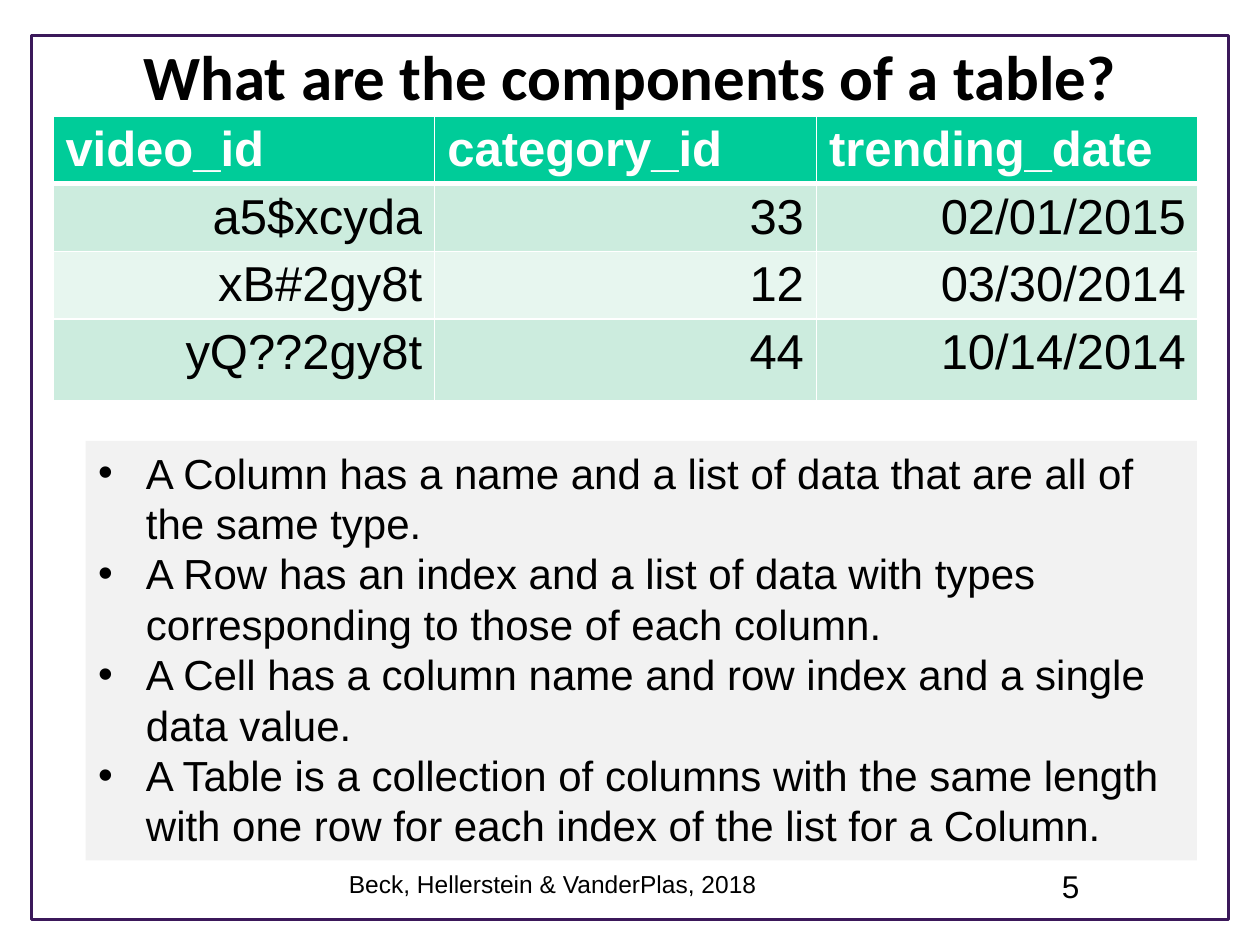
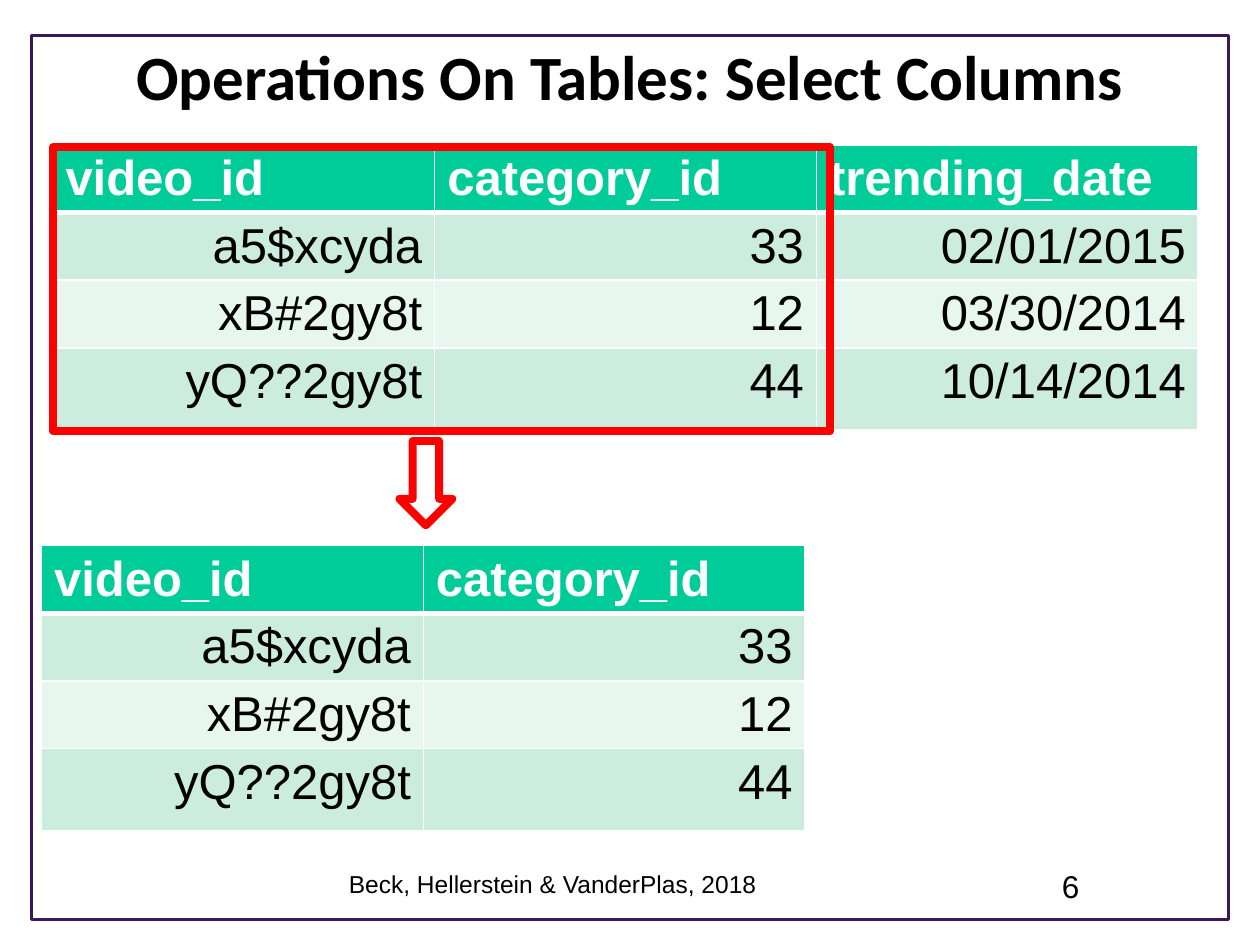
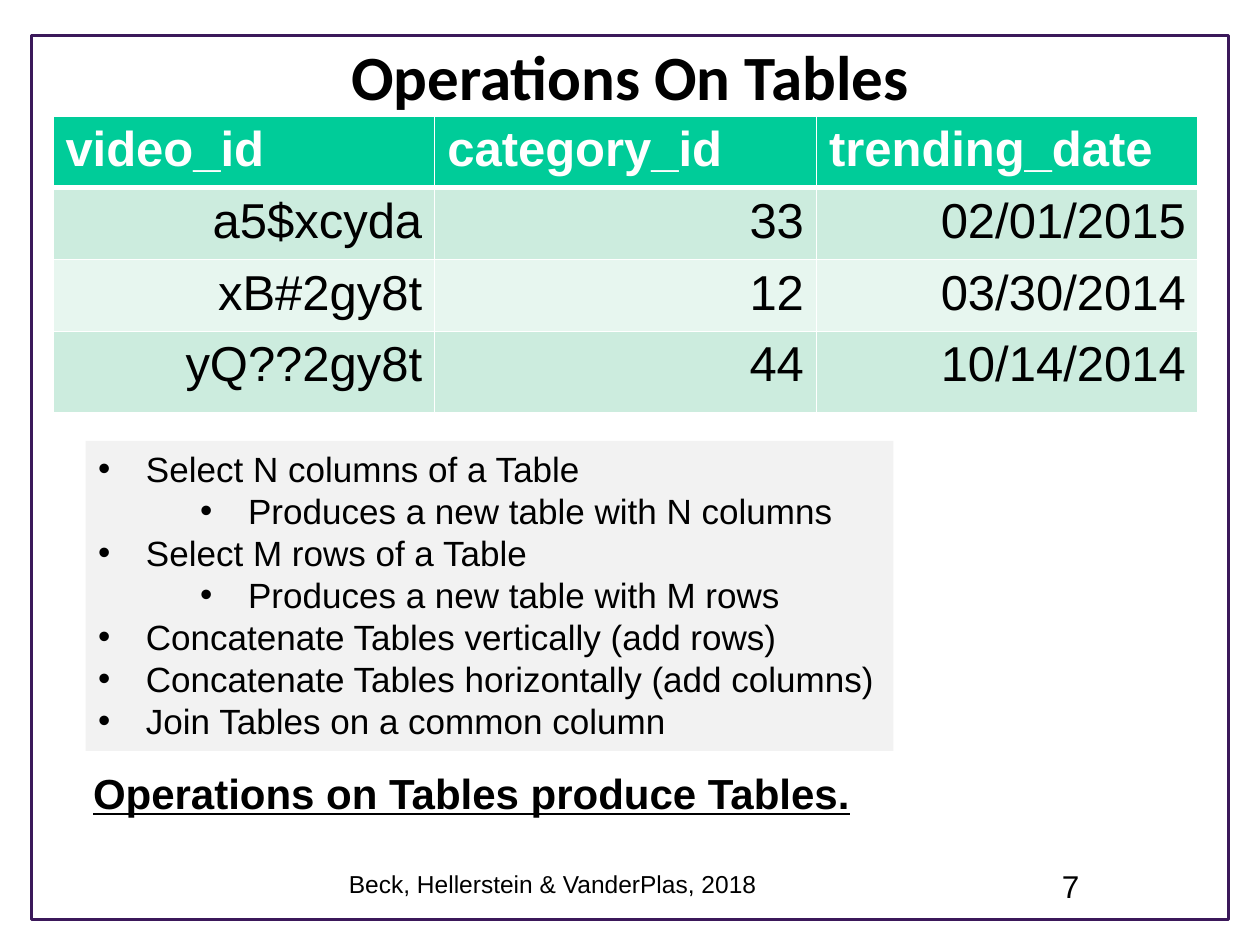
from dataclasses import dataclass

from lxml import etree
from pptx import Presentation
from pptx.dml.color import RGBColor
from pptx.enum.shapes import MSO_SHAPE
from pptx.enum.text import MSO_ANCHOR, PP_ALIGN
from pptx.oxml.ns import qn
from pptx.util import Inches, Pt

RECT = MSO_SHAPE.RECTANGLE
DOWN_ARROW = MSO_SHAPE.DOWN_ARROW
LEFT, CENTER, RIGHT = PP_ALIGN.LEFT, PP_ALIGN.CENTER, PP_ALIGN.RIGHT
TOP = MSO_ANCHOR.TOP

COLORS = {
    "text": "000000",
    "white": "FFFFFF",
    "frame": "3B185A",
    "header": "00CC99",
    "band_dark": "CCECDE",
    "band_light": "E7F6EF",
    "panel": "F2F2F2",
    "highlight": "FF0000",
}
FOOTER = "Beck, Hellerstein & VanderPlas, 2018"
VIDEOS = [
    ["video_id", "category_id", "trending_date"],
    ["a5$xcyda", "33", "02/01/2015"],
    ["xB#2gy8t", "12", "03/30/2014"],
    ["yQ??2gy8t", "44", "10/14/2014"],
]
COLUMN_WIDTH = 3.03
LAST_ROW_HEIGHT = 0.65
CELL_BOTTOM_MARGIN = 0.02


@dataclass(frozen=True)
class Box:
    left: float
    top: float
    width: float
    height: float

    def emu(self) -> tuple:
        return tuple(Inches(v) for v in (self.left, self.top, self.width, self.height))


@dataclass(frozen=True)
class Style:
    size: int
    font: str = "Arial"
    color: str = "text"
    bold: bool = False
    underline: bool = False
    align: PP_ALIGN = LEFT


@dataclass(frozen=True)
class Bullet:
    text: str
    level: int = 0


TITLE = Style(36, font="Calibri", bold=True, align=CENTER)
HEADER_CELL = Style(28, color="white", bold=True)
BODY_CELL = Style(28, align=RIGHT)
BULLET_INDENT = 0.38
LEVEL_MARGINS = (0.38, 1.19)

COMPONENTS = [
    Bullet("A Column has a name and a list of data that are all of the same type."),
    Bullet("A Row has an index and a list of data with types corresponding to those of each column."),
    Bullet("A Cell has a column name and row index and a single data value."),
    Bullet("A Table is a collection of columns with the same length with one row "
           "for each index of the list for a Column."),
]
OPERATIONS = [
    Bullet("Select N columns of a Table"),
    Bullet("Produces a new table with N columns", 1),
    Bullet("Select M rows of a Table"),
    Bullet("Produces a new table with M rows", 1),
    Bullet("Concatenate Tables vertically (add rows)"),
    Bullet("Concatenate Tables horizontally (add columns)"),
    Bullet("Join Tables on a common column"),
]


def rgb(name: str) -> RGBColor:
    return RGBColor.from_string(COLORS[name])


def write(p, text: str, style: Style) -> None:
    p.text = text
    p.alignment = style.align
    p.font.name = style.font
    p.font.size = Pt(style.size)
    p.font.bold = style.bold
    p.font.underline = style.underline
    p.font.color.rgb = rgb(style.color)


def add_text(slide, box: Box, text: str, style: Style) -> None:
    tf = slide.shapes.add_textbox(*box.emu()).text_frame
    tf.word_wrap = True
    tf.vertical_anchor = TOP
    write(tf.paragraphs[0], text, style)


def add_outline(slide, kind: MSO_SHAPE, box: Box, color: str, width: float) -> None:
    sp = slide.shapes.add_shape(kind, *box.emu())
    sp.shadow.inherit = False
    sp.fill.background()
    sp.line.color.rgb = rgb(color)
    sp.line.width = Pt(width)


def add_bullets(slide, box: Box, bullets: list[Bullet], size: int) -> None:
    sp = slide.shapes.add_shape(RECT, *box.emu())
    sp.shadow.inherit = False
    sp.fill.solid()
    sp.fill.fore_color.rgb = rgb("panel")
    sp.line.fill.background()
    tf = sp.text_frame
    tf.word_wrap = True
    tf.vertical_anchor = TOP
    for i, bullet in enumerate(bullets):
        p = tf.add_paragraph() if i else tf.paragraphs[0]
        write(p, bullet.text, Style(size))
        p.level = bullet.level
        pPr = p._p.get_or_add_pPr()
        pPr.set("marL", str(Inches(LEVEL_MARGINS[bullet.level])))
        pPr.set("indent", str(-Inches(BULLET_INDENT)))
        font = etree.Element(qn("a:buFont"), typeface="Arial")
        mark = etree.Element(qn("a:buChar"), char="•")
        for element in (font, mark):
            pPr.insert_element_before(element, "a:tabLst", "a:defRPr", "a:extLst")


def add_border(cell, side: str, width: float) -> None:
    ln = etree.SubElement(cell._tc.get_or_add_tcPr(), qn(f"a:ln{side}"), w=str(Pt(width)))
    fill = etree.SubElement(ln, qn("a:solidFill"))
    etree.SubElement(fill, qn("a:srgbClr"), val=COLORS["white"])


def add_data_table(slide, left: float, top: float, rows: list[list[str]], row_height: float = 0.48) -> None:
    heights = [row_height] * (len(rows) - 1) + [LAST_ROW_HEIGHT]
    box = Box(left, top, COLUMN_WIDTH * len(rows[0]), sum(heights))
    table = slide.shapes.add_table(len(rows), len(rows[0]), *box.emu()).table
    for column in table.columns:
        column.width = Inches(COLUMN_WIDTH)
    for r, (values, height) in enumerate(zip(rows, heights)):
        table.rows[r].height = Inches(height)
        band = "header" if r == 0 else "band_dark" if r % 2 else "band_light"
        for c, value in enumerate(values):
            cell = table.cell(r, c)
            cell.margin_bottom = Inches(CELL_BOTTOM_MARGIN)
            for side in "LRTB":
                below_header = (r, side) in ((0, "B"), (1, "T"))
                add_border(cell, side, 3 if below_header else 1)
            cell.fill.solid()
            cell.fill.fore_color.rgb = rgb(band)
            write(cell.text_frame.paragraphs[0], value, BODY_CELL if r else HEADER_CELL)


def add_slide(prs, title: str, number: int):
    slide = prs.slides.add_slide(prs.slide_layouts[6])
    add_outline(slide, RECT, Box(0.25, 0.28, 9.5, 7.02), "frame", 1.75)
    add_text(slide, Box(0.5, 0.25, 9, 0.78), title, TITLE)
    add_text(slide, Box(2.67, 6.85, 3.92, 0.4), FOOTER, Style(14))
    add_text(slide, Box(8.33, 6.83, 0.58, 0.4), str(number), Style(18))
    return slide


def main() -> None:
    prs = Presentation()
    prs.slide_width, prs.slide_height = Inches(10), Inches(7.5)

    slide = add_slide(prs, "What are the components of a table?", 5)
    add_data_table(slide, 0.42, 0.92, VIDEOS)
    add_bullets(slide, Box(0.68, 3.5, 8.82, 3.33), COMPONENTS, 24)

    slide = add_slide(prs, "Operations On Tables: Select Columns", 6)
    add_data_table(slide, 0.42, 1.15, VIDEOS)
    add_outline(slide, RECT, Box(0.42, 1.17, 6.17, 2.25), "highlight", 4.5)
    add_outline(slide, DOWN_ARROW, Box(3.17, 3.5, 0.42, 0.67), "highlight", 4.5)
    add_data_table(slide, 0.33, 4.33, [row[:2] for row in VIDEOS])

    slide = add_slide(prs, "Operations On Tables", 7)
    add_bullets(slide, Box(0.68, 3.5, 6.41, 2.46), OPERATIONS, 20)
    add_text(slide, Box(0.64, 6.04, 6.26, 0.5), "Operations on Tables produce Tables.",
             Style(24, bold=True, underline=True))
    add_data_table(slide, 0.42, 0.92, VIDEOS, 0.57)

    prs.save("out.pptx")


if __name__ == "__main__":
    main()
